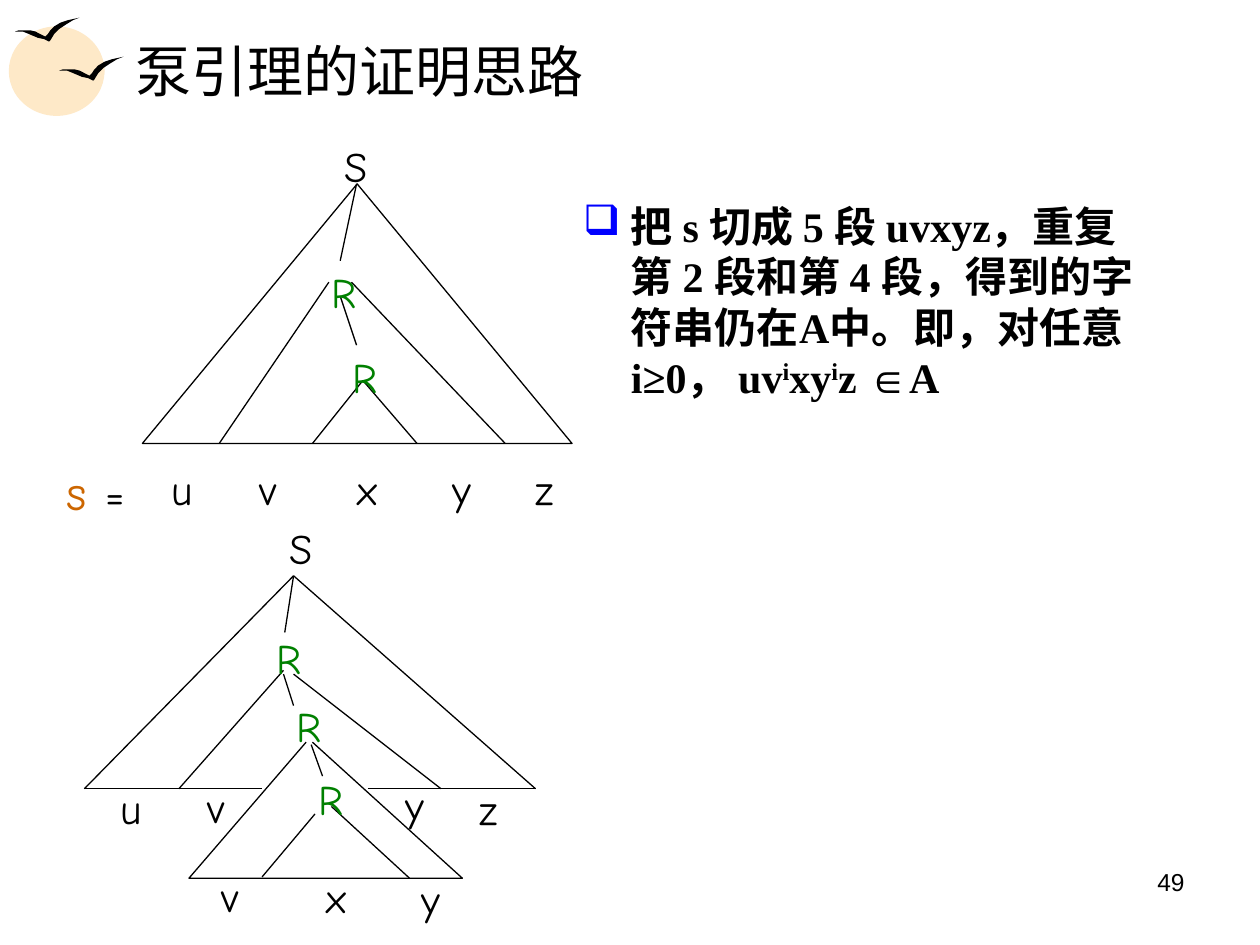
"""Build the slide that sketches the proof of the pumping lemma with two parse trees."""
import dataclasses

import lxml.etree
import pptx
import pptx.dml.color
import pptx.enum.shapes
import pptx.enum.text
import pptx.oxml.ns
import pptx.util

SCALE = 9144
ALIGN = pptx.enum.text.PP_ALIGN
ANCHOR = pptx.enum.text.MSO_ANCHOR
SHAPE = pptx.enum.shapes.MSO_SHAPE


@dataclasses.dataclass(frozen=True)
class Theme:
    black: str = "000000"
    green: str = "008000"
    orange: str = "CC6600"
    blue: str = "0000FF"
    sun: str = "FEE9C8"
    serif: str = "Times New Roman"
    sans: str = "Arial"
    hand: str = "Comic Neue"
    title: int = 32
    word: int = 28
    body: int = 24
    number: int = 14
    line: float = 0.75


def px(value):
    return pptx.util.Emu(value * SCALE)


def color(value):
    return pptx.dml.color.RGBColor.from_string(value)


class SlideBuilder:
    def __init__(self, slide, theme):
        self.slide = slide
        self.theme = theme

    def style(self, shape, fill=None, line=None):
        shape.shadow.inherit = False
        if fill:
            shape.fill.solid()
            shape.fill.fore_color.rgb = color(fill)
        else:
            shape.fill.background()
        if line:
            shape.line.color.rgb = color(line)
            shape.line.width = pptx.util.Pt(self.theme.line)
        else:
            shape.line.fill.background()

    def preset(self, kind, box, fill=None, line=None):
        shape = self.slide.shapes.add_shape(kind, *map(px, box))
        self.style(shape, fill, line)

    def outline(self, points, close, fill=None, line=None):
        builder = self.slide.shapes.build_freeform(*points[0], scale=SCALE)
        builder.add_line_segments(points[1:], close=close)
        self.style(builder.convert_to_shape(), fill, line)

    def line(self, x1, y1, x2, y2):
        connector = self.slide.shapes.add_connector(
            pptx.enum.shapes.MSO_CONNECTOR.STRAIGHT, px(x1), px(y1), px(x2), px(y2))
        connector.line.color.rgb = color(self.theme.black)
        connector.line.width = pptx.util.Pt(self.theme.line)
        properties = connector._element.spPr
        lxml.etree.SubElement(properties, pptx.oxml.ns.qn("a:effectLst"))

    def text(self, box, runs, font, align=ALIGN.LEFT, anchor=ANCHOR.TOP,
             wrap=True, bold=False, bullet=None):
        frame = self.slide.shapes.add_textbox(*map(px, box)).text_frame
        frame.word_wrap = wrap
        frame.vertical_anchor = anchor
        paragraph = frame.paragraphs[0]
        paragraph.alignment = align
        if bullet:
            self.bullet(paragraph, bullet)
        for content, size, ink, raised in runs:
            run = paragraph.add_run()
            run.text = content
            run.font.name = font
            run.font.size = pptx.util.Pt(size)
            run.font.bold = bold
            run.font.color.rgb = color(ink)
            if raised:
                run.font._element.set("baseline", "30000")

    def bullet(self, paragraph, character):
        properties = paragraph._p.get_or_add_pPr()
        properties.set("marL", str(px(38)))
        properties.set("indent", str(px(-38)))
        tint = lxml.etree.SubElement(properties, pptx.oxml.ns.qn("a:buClr"))
        lxml.etree.SubElement(tint, pptx.oxml.ns.qn("a:srgbClr"), val=self.theme.blue)
        lxml.etree.SubElement(properties, pptx.oxml.ns.qn("a:buChar"), char=character)

    def label(self, content, left, top, width):
        ink = self.theme.green if content == "R" else self.theme.black
        self.text((left, top, width, 50), [(content, self.theme.body, ink, False)],
                  self.theme.hand, ALIGN.CENTER, wrap=False)


BIRD = [(0, 11), (3, 10), (8, 10), (12, 10), (16, 11), (20, 13), (24, 15), (26, 13),
        (28, 10), (31, 7), (36, 4), (42, 2), (51, 0), (46, 2), (41, 5), (35, 9),
        (31, 13), (28, 18), (27, 19), (23, 17), (18, 16), (11, 13), (6, 11)]
UPPER_LINES = [(283, 146, 270, 207), (270, 235, 283, 274), (288, 302, 248, 352),
               (288, 302, 331, 352), (261, 224, 174, 352), (279, 224, 401, 352)]
UPPER_LABELS = [("S", 261, 107, 44), ("R", 253, 207, 35), ("R", 270, 274, 35),
                ("u", 126, 363, 31), ("v", 196, 363, 31), ("x", 274, 363, 31),
                ("y", 349, 363, 31), ("z", 415, 363, 31)]
LOWER_LINES = [(233, 457, 226, 502), (233, 457, 67, 626), (233, 457, 425, 626),
               (67, 626, 208, 626), (292, 626, 425, 626), (225, 535, 233, 560),
               (225, 532, 142, 626), (233, 535, 350, 626), (247, 591, 256, 616),
               (250, 646, 208, 696), (263, 640, 325, 697)]
LOWER_LABELS = [("S", 217, 410, 44), ("R", 209, 497, 41), ("R", 225, 551, 41),
                ("R", 242, 609, 41), ("u", 83, 616, 42), ("v", 147, 615, 50),
                ("y", 308, 614, 42), ("z", 371, 617, 30), ("v", 158, 686, 50),
                ("x", 242, 687, 50), ("y", 317, 688, 50)]
INNER_TREE = [(243, 589), (150, 697), (367, 697), (248, 589)]


def main():
    presentation = pptx.Presentation()
    presentation.slide_width = px(1000)
    presentation.slide_height = px(750)
    slide = presentation.slides.add_slide(presentation.slide_layouts[6])
    theme = Theme()
    builder = SlideBuilder(slide, theme)

    for box in ((7, 21, 76, 71), (20, 28, 63, 55)):
        builder.preset(SHAPE.OVAL, box, fill=theme.sun)
    for left, top in ((47, 45), (12, 14)):
        builder.outline([(left + x, top + y) for x, y in BIRD], True, fill=theme.black)

    builder.text((717, 683, 233, 52), [("49", theme.number, theme.black, False)],
                 theme.sans, ALIGN.RIGHT)
    builder.text((98, 21, 853, 69), [("泵引理的证明思路", theme.title, theme.black, False)],
                 theme.serif, anchor=ANCHOR.MIDDLE)

    builder.preset(SHAPE.ISOSCELES_TRIANGLE, (113, 146, 341, 206), line=theme.black)
    builder.outline(INNER_TREE, False, line=theme.black)
    for ends in UPPER_LINES + LOWER_LINES:
        builder.line(*ends)
    for label in UPPER_LABELS + LOWER_LABELS:
        builder.label(*label)
    builder.text((43, 356, 81, 64), [("s", theme.word, theme.orange, False),
                                     (" ", theme.title, theme.orange, False),
                                     ("=", theme.body, theme.black, False)], theme.hand)

    statement = [("把 s 切成 5 段 uvxyz，重复第 2 段和第 4 段，得到的字符串仍在A中。"
                  "即，对任意 i≥0， uv", False),
                 ("i", True), ("xy", False), ("i", True), ("z ∈A", False)]
    builder.text((453, 154, 457, 236),
                 [(content, theme.body, theme.black, raised) for content, raised in statement],
                 theme.serif, bold=True, bullet="❑")
    presentation.save("out.pptx")


if __name__ == "__main__":
    main()
